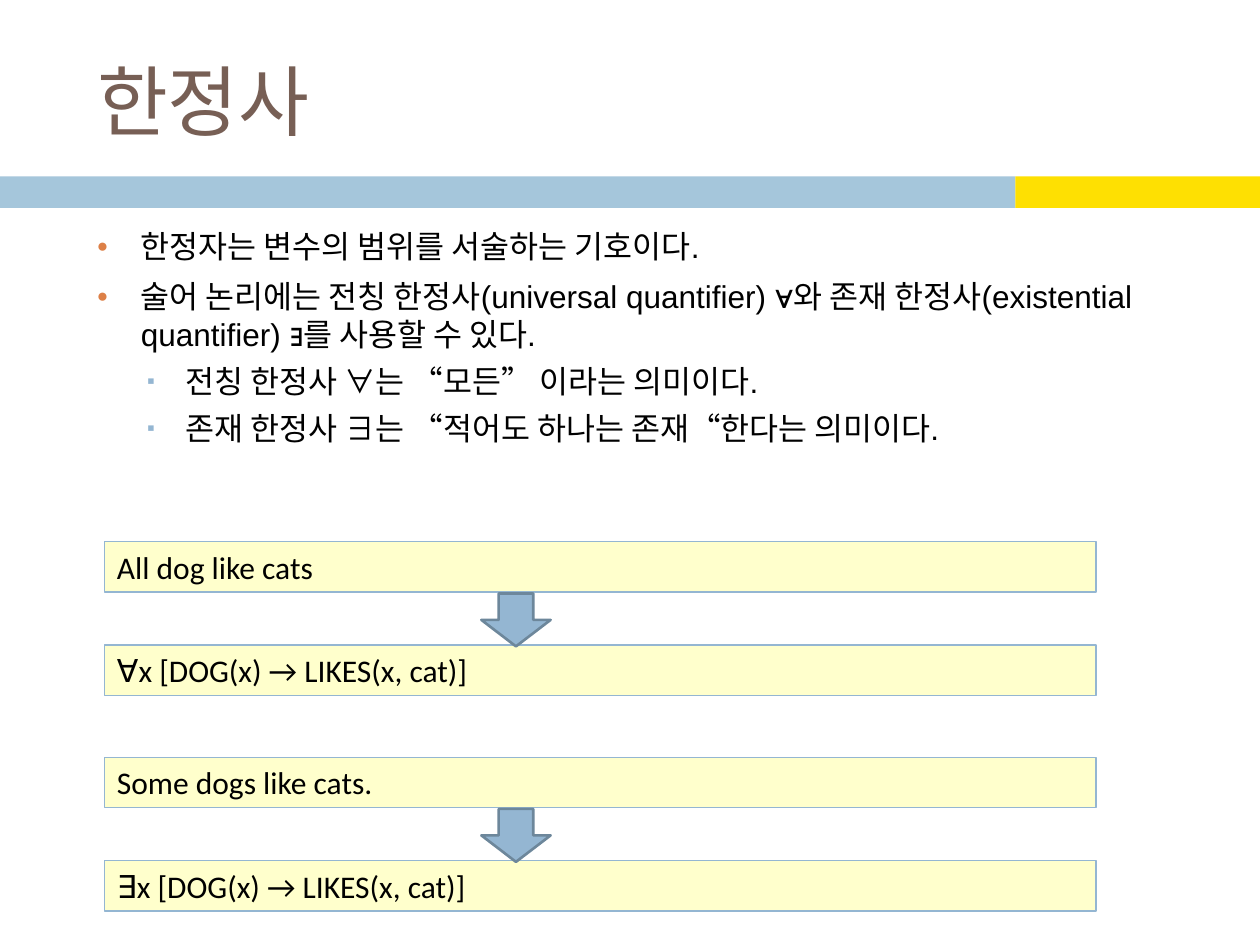
import pptx
import pptx.dml.color
import pptx.enum.shapes
import pptx.enum.text
import pptx.oxml.ns
import pptx.util
from lxml import etree
from pptx.util import Inches

COLORS = {
    "band": "A5C6DB", "accent": "FEE002", "title": "775F55", "text": "000000",
    "bullet": "DD8047", "sub_bullet": "94B6D2", "box": "FFFFCC",
    "blue": "94B6D2", "arrow_line": "6D879B",
}
LEVELS = [
    {"mark": "●", "color": "bullet", "percent": 60, "left": 0.35, "hang": 0.35, "before": 7},
    {"mark": "▪", "color": "sub_bullet", "percent": 70, "left": 0.7, "hang": 0.3, "before": 5.5},
]
POINTS = [
    (0, "한정자는 변수의 범위를 서술하는 기호이다."),
    (0, "술어 논리에는 전칭 한정사(universal quantifier) ∀와 존재 한정사(existential quantifier) ∃를 사용할 수 있다."),
    (1, "전칭 한정사 ∀는 “모든” 이라는 의미이다."),
    (1, "존재 한정사 ∃는 “적어도 하나는 존재“한다는 의미이다."),
]
EXAMPLES = [
    (4.3, "All dog like cats", "∀x [DOG(x) → LIKES(x, cat)]"),
    (6.01, "Some dogs like cats.", "∃x [DOG(x) → LIKES(x, cat)]"),
]
SHAPES = pptx.enum.shapes.MSO_SHAPE


def rgb(name):
    return pptx.dml.color.RGBColor.from_string(COLORS[name])


def set_font(font, size, face, color):
    font.size = pptx.util.Pt(size)
    font.name = face
    font.color.rgb = rgb(color)


def add_filled(slide, kind, left, top, width, height, fill, line=None, weight=0.75):
    shape = slide.shapes.add_shape(kind, Inches(left), Inches(top), Inches(width), Inches(height))
    shape.shadow.inherit = False
    shape.fill.solid()
    shape.fill.fore_color.rgb = rgb(fill)
    if line:
        shape.line.color.rgb = rgb(line)
        shape.line.width = pptx.util.Pt(weight)
    else:
        shape.line.fill.background()
    return shape


def add_band(slide, left, top, width, height):
    accent_width = 1.94
    add_filled(slide, SHAPES.RECTANGLE, left, top, width - accent_width, height, "band")
    add_filled(slide, SHAPES.RECTANGLE, left + width - accent_width, top, accent_width, height, "accent")


def place_title(slide, left, top, width, height):
    title = slide.shapes.title
    title.left, title.top = Inches(left), Inches(top)
    title.width, title.height = Inches(width), Inches(height)
    title.text_frame.text = "한정사"
    title.text_frame.vertical_anchor = pptx.enum.text.MSO_ANCHOR.MIDDLE
    heading = title.text_frame.paragraphs[0]
    heading.alignment = pptx.enum.text.PP_ALIGN.LEFT
    set_font(heading.runs[0].font, 44, "Calibri", "title")


def add_bullet(paragraph, level):
    properties = paragraph._p.get_or_add_pPr()
    properties.set("marL", str(Inches(level["left"])))
    properties.set("indent", str(-Inches(level["hang"])))

    def add(parent, tag, **attributes):
        return etree.SubElement(parent, pptx.oxml.ns.qn(tag), **attributes)

    add(add(properties, "a:buClr"), "a:srgbClr", val=COLORS[level["color"]])
    add(properties, "a:buSzPct", val=str(level["percent"] * 1000))
    add(properties, "a:buFont", typeface="Arial")
    add(properties, "a:buChar", char=level["mark"])


def add_points(slide, left, top, width, height):
    body = slide.shapes.add_textbox(Inches(left), Inches(top), Inches(width), Inches(height))
    frame = body.text_frame
    frame.word_wrap = True
    for index, (depth, sentence) in enumerate(POINTS):
        point = frame.add_paragraph() if index else frame.paragraphs[0]
        point.text = sentence
        point.level = depth
        add_bullet(point, LEVELS[depth])
        if index:
            point.space_before = pptx.util.Pt(LEVELS[depth]["before"])
        set_font(point.runs[0].font, 18, "Arial", "text")


def add_statement(slide, left, top, width, height, wording):
    statement = add_filled(slide, SHAPES.RECTANGLE, left, top, width, height, "box", "blue")
    frame = statement.text_frame
    frame.word_wrap = True
    frame.vertical_anchor = pptx.enum.text.MSO_ANCHOR.TOP
    frame.text = wording
    frame.paragraphs[0].alignment = pptx.enum.text.PP_ALIGN.LEFT
    set_font(frame.paragraphs[0].runs[0].font, 18, "Calibri", "text")


def add_example(slide, left, top, width, height, sentence, formula):
    box_height = 0.4
    add_statement(slide, left, top, width, box_height, sentence)
    add_statement(slide, left, top + height - box_height, width, box_height, formula)
    add_filled(slide, SHAPES.DOWN_ARROW, left + 2.99, top + box_height + 0.01, 0.55,
               height - 2 * box_height, "blue", "arrow_line", 1.5)


def main():
    deck = pptx.Presentation()
    deck.slide_width, deck.slide_height = Inches(10), Inches(7.5)
    slide = deck.slides.add_slide(deck.slide_layouts[5])
    add_band(slide, 0, 1.4, 10, 0.25)
    place_title(slide, 0.67, 0.25, 8.92, 1.08)
    add_points(slide, 0.67, 1.75, 8.92, 4.92)
    for top, sentence, formula in EXAMPLES:
        add_example(slide, 0.83, top, 7.87, 1.22, sentence, formula)
    deck.save("out.pptx")


if __name__ == "__main__":
    main()
